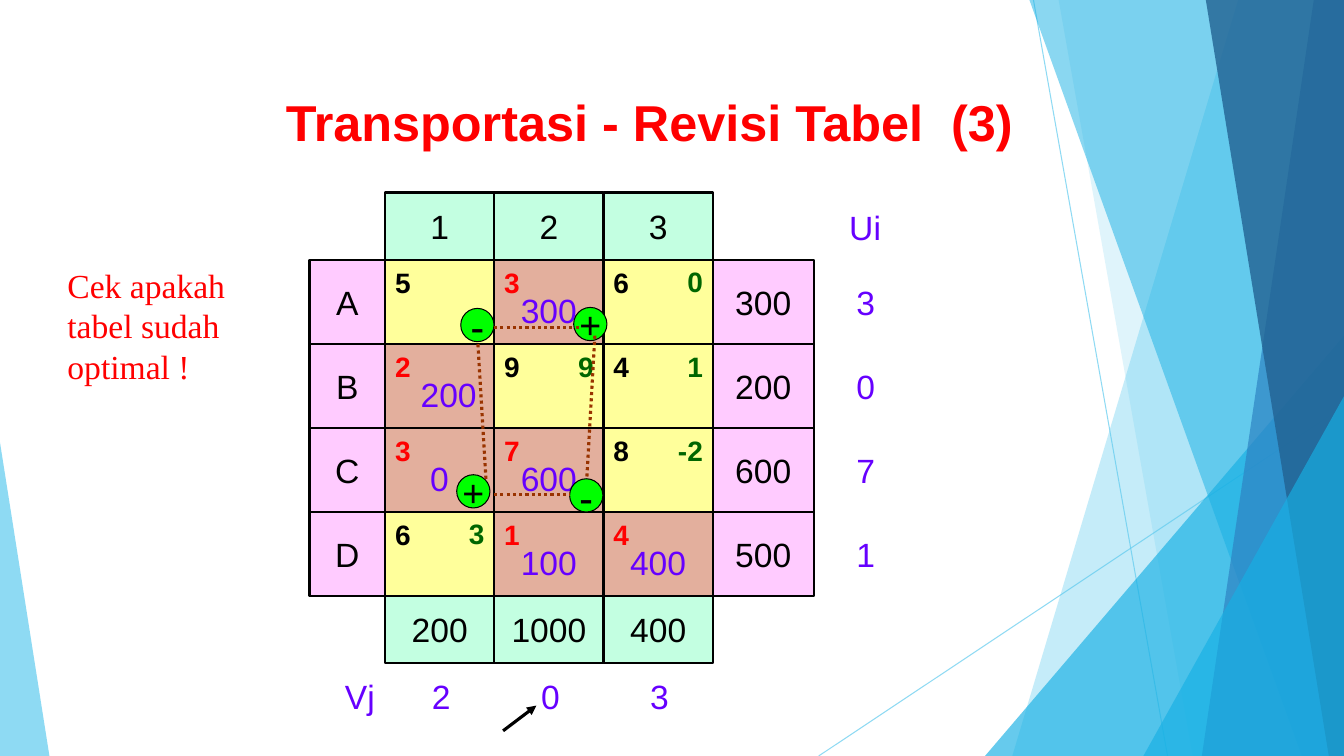
from lxml import etree
from pptx import Presentation, util as u
from pptx.dml.color import RGBColor
from pptx.enum import dml, shapes, text
from pptx.oxml import ns

deck = Presentation()
deck.slide_width, deck.slide_height = u.Inches(13.33), u.Inches(7.5)
page = deck.slides.add_slide(deck.slide_layouts[5])

kind = shapes.MSO_SHAPE
side = text.PP_ALIGN
high = text.MSO_ANCHOR
BLACK, RED, BLUE, GREEN = "000000", "FF0000", "6600FF", "006600"
MINT, PINK, CREAM, TAN, LIME = "C3FFE1", "FFCBFF", "FFFF9B", "E3AF9D", "00FF00"


def tint(fill, hue, alpha=100):
    fill.solid()
    fill.fore_color.rgb = RGBColor.from_string(hue)
    if alpha < 100:
        for clr in fill._xPr.iter(ns.qn("a:srgbClr")):
            etree.SubElement(clr, ns.qn("a:alpha"), val=str(alpha * 1000))


def draw(x, y, w, h, words, hue=BLACK, size=24, bold=False, align=side.CENTER,
         anchor=high.MIDDLE, font="Arial", form=None, fill=None, edge=1.5, wrap=False):
    area = [u.Inches(n) for n in (x, y, w, h)]
    if form is None:
        box = page.shapes.add_textbox(*area)
    else:
        box = page.shapes.add_shape(form, *area)
        box.shadow.inherit = False
        tint(box.fill, fill)
        tint(box.line.fill, BLACK)
        box.line.width = u.Pt(edge)
    frame = box.text_frame
    frame.word_wrap = wrap
    frame.vertical_anchor = anchor
    para = frame.paragraphs[0]
    para.alignment = align
    run = para.add_run()
    run.text = words
    run.font.name, run.font.size, run.font.bold = font, u.Pt(size), bold
    tint(run.font.fill, hue)
    return box


# Backdrop: polygons as point lists, triangles as (box, peak)
decor = [
    ([(12.28, 0), (13.33, 0), (13.33, 7.5), (10.04, 7.5)], None, "5FCBEF", 36),
    ([(10.5, 0), (13.33, 0), (13.33, 7.5), (11.83, 7.5)], None, "5FCBEF", 20),
    ((9.77, 3.33, 3.56, 4.17), 1, "17B0E4", 66),
    ([(10.21, 0), (13.33, 0), (13.33, 7.5), (12.91, 7.5)], None, "17B0E4", 50),
    ([(13.03, 0), (13.33, 0), (13.33, 7.5), (11.92, 7.5)], None, "2E83C3", 70),
    ([(11.96, 0), (13.33, 0), (13.33, 7.5), (13.18, 7.5)], None, "226292", 80),
    ((11.34, 3.93, 1.99, 3.57), 1, "17B0E4", 66),
    ((0, 4.39, 0.49, 3.11), 0, "5FCBEF", 70),
]
for spots, peak, hue, alpha in decor:
    if peak is None:
        pts = [(u.Inches(x), u.Inches(y)) for x, y in spots]
        pen = page.shapes.build_freeform(*pts[0])
        pen.add_line_segments(pts[1:], close=True)
        wedge = pen.convert_to_shape()
    else:
        wedge = page.shapes.add_shape(kind.ISOSCELES_TRIANGLE, *[u.Inches(n) for n in spots])
        wedge.adjustments[0] = peak
    wedge.shadow.inherit = False
    tint(wedge.fill, hue, alpha)
    wedge.line.fill.background()

# Title
head = page.shapes.title
head.left, head.top, head.width, head.height = [u.Inches(n) for n in (2.15, 0.58, 8, 1.25)]
head.text_frame.vertical_anchor = high.MIDDLE
para = head.text_frame.paragraphs[0]
para.alignment = side.RIGHT
run = para.add_run()
run.text = "Transportasi - Revisi Tabel  (3)"
run.font.name, run.font.size, run.font.bold = "Arial", u.Pt(36), True
tint(run.font.fill, RED)

# Side note
draw(0.57, 2.58, 2.25, 1.3, "Cek apakah tabel sudah optimal !", RED, align=side.LEFT,
     anchor=high.TOP, font="Times New Roman", wrap=True)

# Grid: each cell holds cost, load and index
LEFT, TOP, WIDE, TALL = 3.82, 2.58, 3.25 / 3, 2.5 / 3
RECT = kind.RECTANGLE
rows = [
    ("A", "300", "3", [("5", "", ""), ("3", "300", ""), ("6", "", "0")]),
    ("B", "200", "0", [("2", "200", ""), ("9", "", "9"), ("4", "", "1")]),
    ("C", "600", "7", [("3", "0", ""), ("7", "600", ""), ("8", "", "-2")]),
    ("D", "500", "1", [("6", "", "3"), ("1", "100", ""), ("4", "400", "")]),
]
for r, (name, stock, ui, cells) in enumerate(rows):
    y = TOP + r * TALL
    draw(3.07, y, 0.75, TALL, name, form=RECT, fill=PINK)
    draw(7.07, y, 1, TALL, stock, form=RECT, fill=PINK)
    draw(8.39, y + 0.17, 0.39, 0.5, ui, BLUE)
    for c, (cost, load, gain) in enumerate(cells):
        x = LEFT + c * WIDE
        draw(x, y, WIDE, TALL, cost, RED if load else BLACK, 20, True, side.LEFT,
             high.TOP, form=RECT, fill=TAN if load else CREAM)
        if load:
            shift = 0.25 if load == "200" else 0.16
            draw(x + shift, y + 0.25, 0.76, 0.5, load, BLUE)
        if gain:
            draw(x + WIDE - 0.45, y, 0.45, 0.43, gain, GREEN, 20, True, side.RIGHT, high.TOP)

# Column heads, demands and Vj values
for c, (name, need, vj) in enumerate([("1", "200", "2"), ("2", "1000", "0"), ("3", "400", "3")]):
    x = LEFT + c * WIDE
    draw(x, 1.91, WIDE, 0.67, name, form=RECT, fill=MINT)
    draw(x, 5.91, WIDE, 0.67, need, form=RECT, fill=MINT)
    draw(x + 0.36, 6.66, 0.39, 0.5, vj, BLUE)
draw(8.32, 2, 0.52, 0.5, "Ui", BLUE)
draw(3.32, 6.66, 0.5, 0.5, "Vj", BLUE)

# Loop signs
for x, y, sign in [(4.57, 3.06, "-"), (5.69, 3.05, "+"), (4.53, 4.71, "+"), (5.65, 4.75, "-")]:
    disc = draw(x, y, 0.33, 0.33, sign, size=28, bold=True, font="Times New Roman",
                form=kind.OVAL, fill=LIME, edge=0.75)
    frame = disc.text_frame
    frame.margin_left = frame.margin_right = frame.margin_top = frame.margin_bottom = 0

# Lines: backdrop, loop and pointer
lines = [
    (10.25, 0, 11.58, 7.5, "back"),
    (13.33, 4.03, 8.12, 7.5, "back"),
    (4.9, 4.91, 5.65, 4.91, "loop"),
    (5.9, 3.33, 5.82, 4.75, "loop"),
    (4.9, 3.25, 5.74, 3.25, "loop"),
    (4.82, 4.75, 4.74, 3.41, "loop"),
    (4.99, 7.25, 5.32, 7, "arrow"),
]
looks = {"back": ("5FCBEF", 0.75, 70), "loop": ("993300", 2.25, 100), "arrow": (BLACK, 2.25, 100)}
for *ends, role in lines:
    line = page.shapes.add_connector(shapes.MSO_CONNECTOR.STRAIGHT, *[u.Inches(n) for n in ends])
    hue, width, alpha = looks[role]
    tint(line.line.fill, hue, alpha)
    line.line.width = u.Pt(width)
    props = line.element.spPr
    etree.SubElement(props, ns.qn("a:effectLst"))
    if role == "loop":
        line.line.dash_style = dml.MSO_LINE.ROUND_DOT
    elif role == "arrow":
        etree.SubElement(props.find(ns.qn("a:ln")), ns.qn("a:tailEnd"), type="triangle")
    else:
        line.element.getparent().insert(2, line.element)

deck.save("out.pptx")
